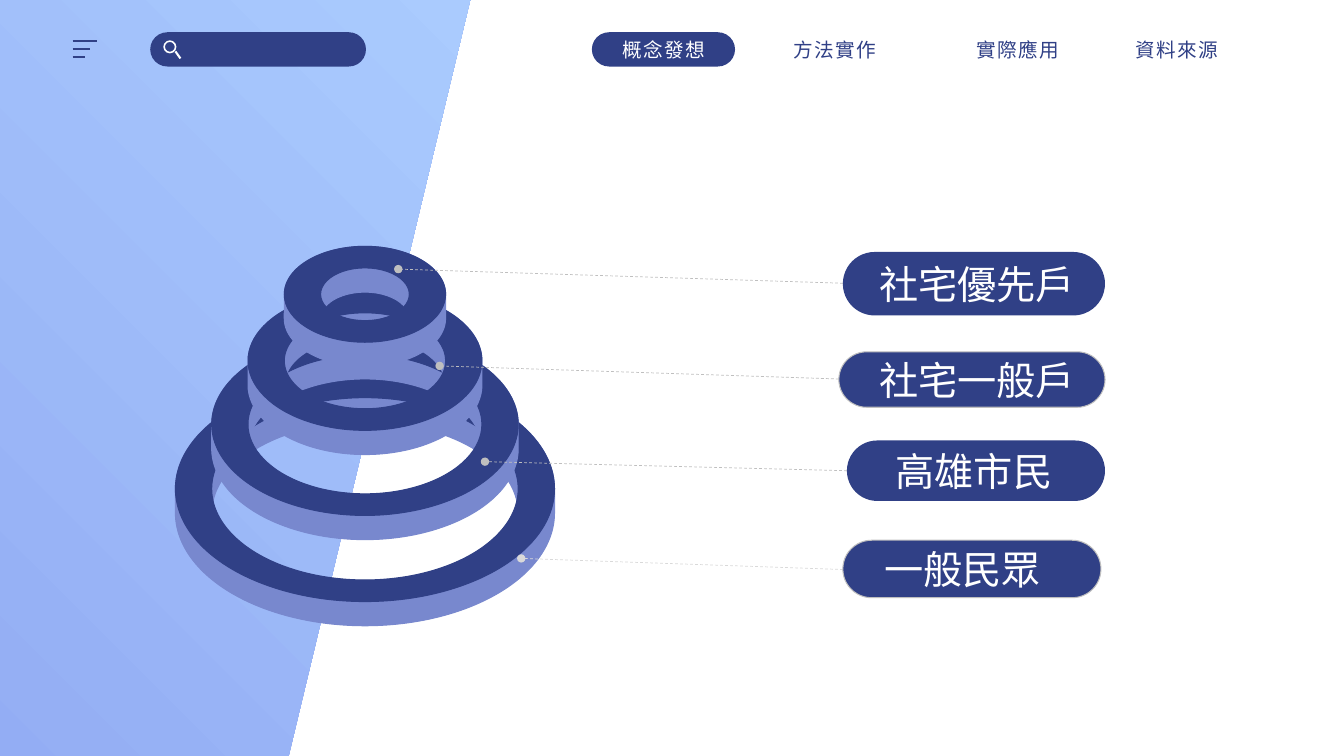
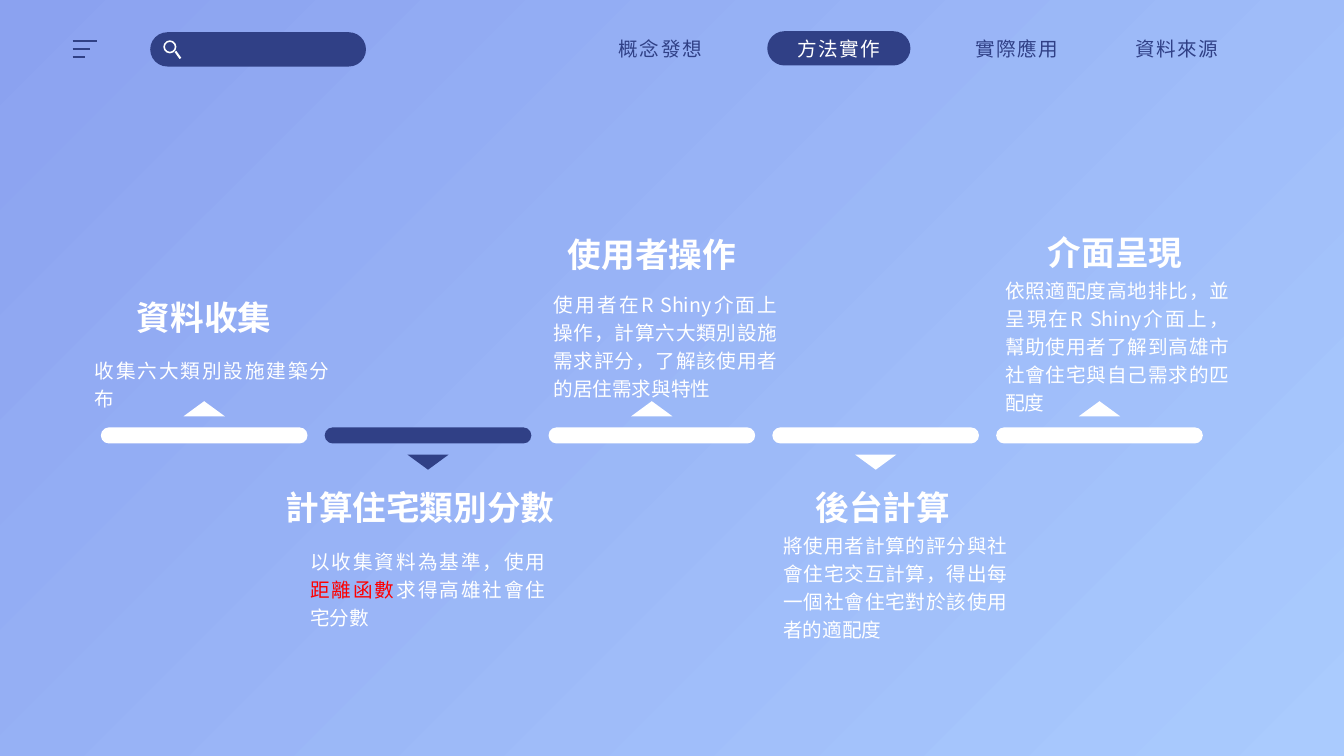
import lxml.etree
import pptx
import pptx.dml.color
import pptx.enum.dml
import pptx.enum.shapes
import pptx.enum.text
import pptx.oxml.ns
import pptx.util

Inches = pptx.util.Inches
SHAPE = pptx.enum.shapes.MSO_SHAPE
ALIGN = pptx.enum.text.PP_ALIGN
ANCHOR = pptx.enum.text.MSO_ANCHOR
qn = pptx.oxml.ns.qn

FONT = "Noto Sans CJK SC"
COLORS = {
    "navy": "304086",
    "side": "7888CE",
    "white": "FFFFFF",
    "red": "FF0000",
    "gray": "BFBFBF",
    "pale": "D9D9D9",
    "sky_dark": "8BA2F0",
    "sky_light": "AACBFE",
}

NAV_LABELS = ["概念發想", "方法實作", "實際應用", "資料來源"]
NAV_SIZE = (1.04, 0.34)
NAV_PILL_WIDTH = 1.42
CONCEPT_NAV = {"active": 0, "lefts": (6.06, 7.76, 9.58, 11.15), "top": 0.32}
METHOD_NAV = {"active": 1, "lefts": (6.03, 7.8, 9.57, 11.15), "top": 0.31}
MENU_LINES = [(0.41, 0.96), (0.49, 0.89), (0.57, 0.84)]

RING_CENTER_X = 3.62
RING_DEPTH = 0.24
RING_BAND = 0.36
RING_TILT = 0.595
RINGS = [(1.88, 4.85), (1.52, 4.21), (1.16, 3.58), (0.8, 2.92)]

CALLOUTS = [
    {"label": "社宅優先戶", "pill": (8.36, 2.5, 2.6, 0.63), "text_center": 9.69,
     "start_y": 2.81, "dot": (3.95, 2.67), "leader": "gray", "outline": None},
    {"label": "社宅一般戶", "pill": (8.32, 3.49, 2.64, 0.55), "text_center": 9.69,
     "start_y": 3.76, "dot": (4.36, 3.63), "leader": "gray", "outline": "gray"},
    {"label": "高雄市民", "pill": (8.4, 4.37, 2.56, 0.6), "text_center": 9.66,
     "start_y": 4.67, "dot": (4.81, 4.58), "leader": "gray", "outline": None},
    {"label": "一般民眾", "pill": (8.36, 5.36, 2.56, 0.57), "text_center": 9.55,
     "start_y": 5.65, "dot": (5.17, 5.54), "leader": "pale", "outline": "gray"},
]

STEP_BAR = {"left": 1, "top": 4.24, "width": 2.05, "height": 0.16, "pitch": 2.22}
POINTER_SIZE = (0.41, 0.15)
POINTER_TOPS = {"up": 3.98, "down": 4.51}
STEPS = [
    {"heading": "資料收集", "heading_box": (0.92, 2.9, 2.21, 0.5),
     "body": [("收集六大類別設施建築分布", "white")],
     "body_box": (0.84, 3.47, 2.53, 0.36), "bar": "white", "side": "up"},
    {"heading": "計算住宅類別分數", "heading_box": (2.7, 4.78, 2.93, 0.5),
     "body": [("以收集資料為基準\uff0c使用", "white"),
              ("距離函數", "red"), ("求得高雄社會住宅分數", "white")],
     "body_box": (2.98, 5.36, 2.53, 0.92), "bar": "navy", "side": "down"},
    {"heading": "使用者操作", "heading_box": (5.36, 2.27, 2.21, 0.5),
     "body": [("使用者在R Shiny介面上操作\uff0c計算六大類別設施需求評分\uff0c"
               "了解該使用者的居住需求與特性", "white")],
     "body_box": (5.39, 2.81, 2.42, 1.2), "bar": "white", "side": "up"},
    {"heading": "後台計算", "heading_box": (7.65, 4.78, 2.21, 0.5),
     "body": [("將使用者計算的評分與社會住宅交互計算\uff0c"
               "得出每一個社會住宅對於該使用者的適配度", "white")],
     "body_box": (7.67, 5.2, 2.42, 1.2), "bar": "white", "side": "down"},
    {"heading": "介面呈現", "heading_box": (9.85, 2.25, 2.42, 0.5),
     "body": [("依照適配度高地排比\uff0c並呈現在R Shiny介面上\uff0c"
               "幫助使用者了解到高雄市社會住宅與自己需求的匹配度", "white")],
     "body_box": (9.87, 2.67, 2.42, 1.48), "bar": "white", "side": "up"},
]


def color(name):
    return pptx.dml.color.RGBColor.from_string(COLORS[name])


def set_sky(fill, angle):
    fill.gradient()
    fill.gradient_angle = angle
    for stop, name in zip(fill.gradient_stops, ("sky_dark", "sky_light")):
        stop.color.rgb = color(name)


def paint(shape, fill, outline=None):
    shape.shadow.inherit = False
    shape.fill.solid()
    shape.fill.fore_color.rgb = color(fill)
    if outline:
        shape.line.color.rgb = color(outline)
        shape.line.width = pptx.util.Pt(0.75)
    else:
        shape.line.fill.background()


def add_block(page, kind, box, fill, outline=None, adjustment=None):
    shape = page.shapes.add_shape(kind, *map(Inches, box))
    if adjustment is not None:
        shape.adjustments[0] = adjustment
    paint(shape, fill, outline)
    return shape


def add_pill(page, box, fill, outline=None):
    return add_block(page, SHAPE.ROUNDED_RECTANGLE, box, fill, outline, 0.5)


def add_line(page, start, end, name, width=1.5):
    line = page.shapes.add_connector(
        pptx.enum.shapes.MSO_CONNECTOR.STRAIGHT, *map(Inches, start + end))
    line.line.color.rgb = color(name)
    line.line.width = pptx.util.Pt(width)
    lxml.etree.SubElement(line.element.spPr, qn("a:effectLst"))
    return line


def write(shape, parts, size, align=ALIGN.CENTER, bold=False, spacing=None, tracking=None):
    para = shape.text_frame.paragraphs[0]
    para.alignment = align
    if spacing:
        para.line_spacing = pptx.util.Pt(spacing)
    for text, name in parts:
        span = para.add_run()
        span.text = text
        span.font.size = pptx.util.Pt(size)
        span.font.bold = bold
        span.font.name = FONT
        span.font.color.rgb = color(name)
        properties = span._r.get_or_add_rPr()
        lxml.etree.SubElement(properties, qn("a:ea"), typeface=FONT)
        if tracking:
            properties.set("spc", str(tracking))


def add_text(page, box, parts, size, **style):
    shape = page.shapes.add_textbox(*map(Inches, box))
    shape.text_frame.word_wrap = True
    write(shape, parts, size, **style)


def add_header(page, nav):
    add_pill(page, (1.49, 0.32, 2.14, 0.34), "navy")
    add_block(page, SHAPE.DONUT, (1.62, 0.4, 0.13, 0.13), "white", adjustment=0.125)
    add_line(page, (1.74, 0.51), (1.79, 0.58), "white")
    for y, right in MENU_LINES:
        add_line(page, (0.72, y), (right, y), "navy")
    width, height = NAV_SIZE
    for index, (label, left) in enumerate(zip(NAV_LABELS, nav["lefts"])):
        box = (left, nav["top"], width, height)
        active = index == nav["active"]
        if active:
            pill_left = left - (NAV_PILL_WIDTH - width) / 2
            add_pill(page, (pill_left, nav["top"], NAV_PILL_WIDTH, height), "navy")
            item = page.shapes.title
            item.element.getparent().append(item.element)
            item.left, item.top, item.width, item.height = map(Inches, box)
        else:
            item = page.shapes.add_textbox(*map(Inches, box))
        item.text_frame.auto_size = pptx.enum.text.MSO_AUTO_SIZE.NONE
        item.text_frame.word_wrap = False
        item.text_frame.vertical_anchor = ANCHOR.MIDDLE
        write(item, [(label, "white" if active else "navy")], 14, tracking=100)


def add_node(parent, tag, **values):
    texts = {key: str(int(value)) for key, value in values.items()}
    return lxml.etree.SubElement(parent, qn(tag), **texts)


def add_ovals(page, ovals, fill):
    radius, (upper_y, upper_radius), (lower_y, lower_radius) = ovals[0]
    left, top = RING_CENTER_X - radius, upper_y - upper_radius
    right, bottom = RING_CENTER_X + radius, lower_y + lower_radius
    builder = page.shapes.build_freeform(Inches(left), Inches(top))
    builder.add_line_segments([(Inches(right), Inches(top)),
                               (Inches(right), Inches(bottom)),
                               (Inches(left), Inches(bottom))])
    shape = builder.convert_to_shape()
    outline = next(shape.element.iter(qn("a:path")))
    for node in list(outline):
        outline.remove(node)
    for radius, upper, lower in ovals:
        edges = [("a:moveTo", -radius, upper, 180), ("a:lnTo", radius, lower, 0)]
        for tag, offset, (center_y, radius_y), angle in edges:
            add_node(add_node(outline, tag), "a:pt",
                     x=Inches(RING_CENTER_X + offset - left), y=Inches(center_y - top))
            add_node(outline, "a:arcTo", wR=Inches(radius), hR=Inches(radius_y),
                     stAng=angle * 60000, swAng=180 * 60000)
        add_node(outline, "a:close")
    paint(shape, fill, fill)


def add_ring(page, radius, center_y):
    inner = radius - RING_BAND
    outer_y, inner_y = radius * RING_TILT, inner * RING_TILT
    base_y = center_y + RING_DEPTH
    face, hole = (center_y, outer_y), (center_y, inner_y)
    add_ovals(page, [(radius, face, (base_y, outer_y)),
                     (inner, (base_y, inner_y), (base_y, inner_y - 0.1))], "side")
    add_ovals(page, [(radius, face, face), (inner, hole, hole)], "navy")


def add_callout(page, callout):
    left, top, width, height = callout["pill"]
    leader = add_line(page, (left, callout["start_y"]), callout["dot"],
                      callout["leader"], 0.5)
    leader.line.dash_style = pptx.enum.dml.MSO_LINE.DASH
    stroke = leader.element.spPr.find(qn("a:ln"))
    lxml.etree.SubElement(stroke, qn("a:tailEnd"), type="oval")
    pill = add_pill(page, callout["pill"], "navy", callout["outline"])
    shift = callout["text_center"] - left - width / 2
    frame = pill.text_frame
    frame.margin_left = Inches(max(2 * shift, 0))
    frame.margin_right = Inches(max(-2 * shift, 0))
    frame.margin_top = frame.margin_bottom = 0
    frame.vertical_anchor = ANCHOR.MIDDLE
    write(pill, [(callout["label"], "white")], 28)


def add_step(page, index, step):
    left = STEP_BAR["left"] + index * STEP_BAR["pitch"]
    add_pill(page, (left, STEP_BAR["top"], STEP_BAR["width"], STEP_BAR["height"]),
             step["bar"])
    pointer_left = left + (STEP_BAR["width"] - POINTER_SIZE[0]) / 2
    pointer = add_block(page, SHAPE.ISOSCELES_TRIANGLE,
                        (pointer_left, POINTER_TOPS[step["side"]]) + POINTER_SIZE,
                        step["bar"])
    if step["side"] == "down":
        pointer.rotation = 180
    add_text(page, step["body_box"], step["body"], 14, align=ALIGN.JUSTIFY, spacing=20)
    add_text(page, step["heading_box"], [(step["heading"], "white")], 24, bold=True)


deck = pptx.Presentation()
deck.slide_width, deck.slide_height = Inches(13.33), Inches(7.5)
title_only = deck.slide_layouts[5]

concept = deck.slides.add_slide(title_only)
panel = add_block(concept, SHAPE.PARALLELOGRAM, (-3.53, -0.11, 8.22, 8.56), "sky_light")
set_sky(panel.fill, 45)
for radius, center_y in RINGS:
    add_ring(concept, radius, center_y)
add_header(concept, CONCEPT_NAV)
for callout in CALLOUTS:
    add_callout(concept, callout)

method = deck.slides.add_slide(title_only)
set_sky(method.background.fill, 315)
for index, step in enumerate(STEPS):
    add_step(method, index, step)
add_header(method, METHOD_NAV)

deck.save("out.pptx")
